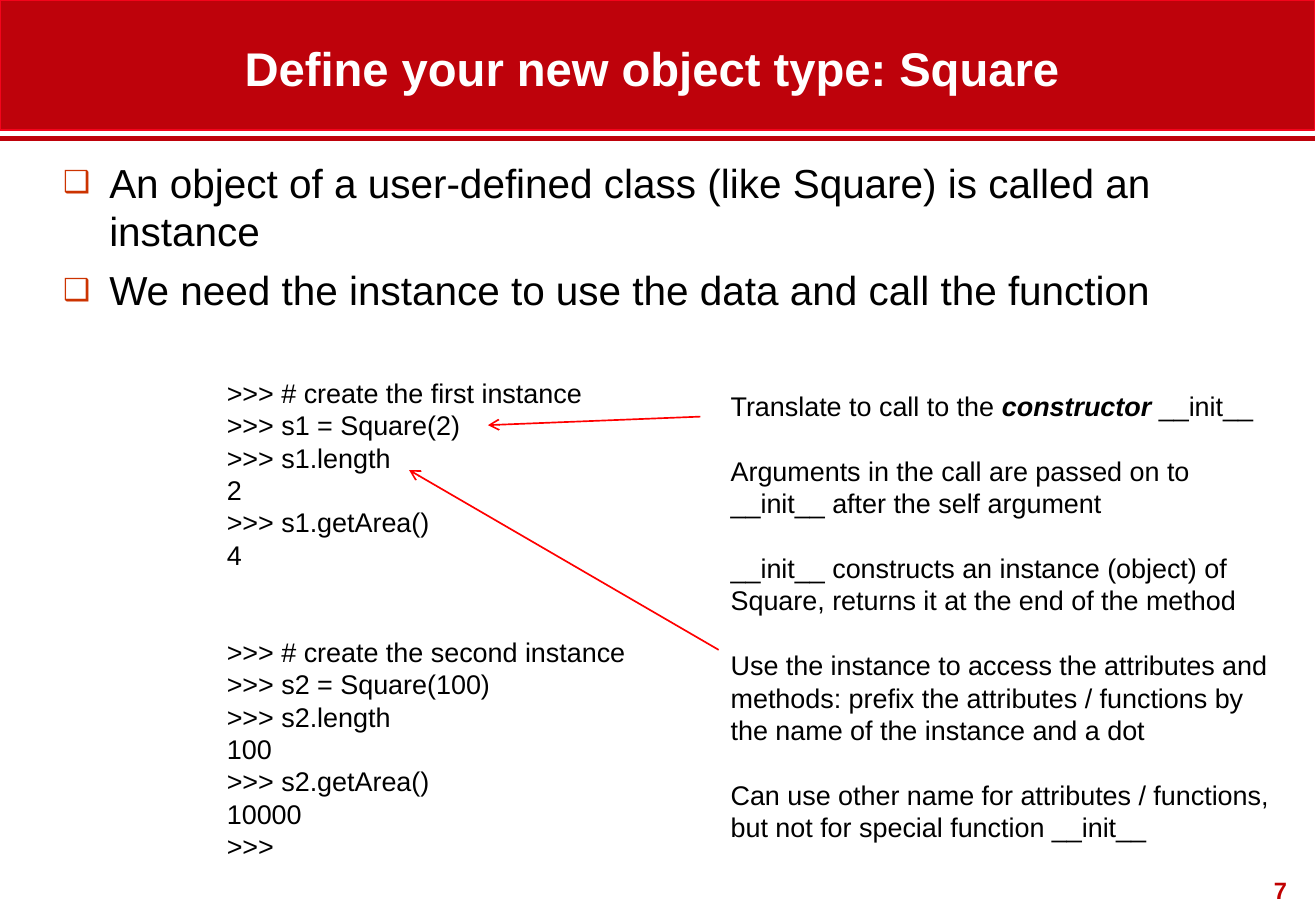
import pptx
import pptx.dml.color
import pptx.enum.shapes
import pptx.enum.text
import pptx.oxml
import pptx.oxml.ns
import pptx.util

PX = 9144
FONT = "Arial"
BLACK = pptx.dml.color.RGBColor(0x00, 0x00, 0x00)
WHITE = pptx.dml.color.RGBColor(0xFF, 0xFF, 0xFF)
BAND_RED = pptx.dml.color.RGBColor(0xBE, 0x02, 0x0B)
BAND_EDGE = pptx.dml.color.RGBColor(0xF4, 0x04, 0x1B)
NUMBER_RED = pptx.dml.color.RGBColor(0xC0, 0x00, 0x00)
ARROW_RED = pptx.dml.color.RGBColor(0xFF, 0x00, 0x00)
BULLET_ORANGE = pptx.dml.color.RGBColor(0xCC, 0x33, 0x00)
ALIGN = pptx.enum.text.PP_ALIGN
ANCHOR = pptx.enum.text.MSO_ANCHOR

TITLE = "Define your new object type: Square"
POINTS = [
    "An object of a user-defined class (like Square) is called an instance",
    "We need the instance to use the data and call the function",
]
SESSIONS = [
    [">>> # create the first instance", ">>> s1 = Square(2)", ">>> s1.length", "2",
     ">>> s1.getArea()", "4"],
    [">>> # create the second instance", ">>> s2 = Square(100)", ">>> s2.length", "100",
     ">>> s2.getArea()", "10000", ">>>"],
]
NOTES = [
    ["Translate to call to the *constructor* __init__"],
    ["Arguments in the call are passed on to __init__ after the self argument"],
    ["__init__ constructs an instance (object) of Square, returns it at the end of the method"],
    ["Use the instance to access the attributes and methods: prefix the attributes / functions "
     "by the name of the instance and a dot"],
    ["Can use other name for attributes / functions, but not for special function __init__"],
]


def px(*lengths):
    """Turn px lengths into EMU."""
    return [pptx.util.Emu(length * PX) for length in lengths]


def write_text(shape, blocks, size=16, color=BLACK, bold=False, align=ALIGN.LEFT,
               anchor=ANCHOR.TOP, space_before=0, block_gap=0):
    """Write blocks of lines into a shape, with *starred* words in bold italic."""
    frame = shape.text_frame
    frame.word_wrap = True
    frame.auto_size = pptx.enum.text.MSO_AUTO_SIZE.NONE
    frame.vertical_anchor = anchor
    for block_index, block in enumerate(blocks):
        for line_index, line in enumerate(block):
            first = block_index == line_index == 0
            paragraph = frame.paragraphs[0] if first else frame.add_paragraph()
            paragraph.alignment = align
            gap = block_gap if block_index and not line_index else 0
            paragraph.space_before = pptx.util.Pt(space_before + gap)
            for part_index, part in enumerate(line.split("*")):
                emphasis = part_index % 2 == 1
                run = paragraph.add_run()
                run.text = part
                run.font.name = FONT
                run.font.size = pptx.util.Pt(size)
                run.font.color.rgb = color
                run.font.bold = bold or emphasis
                run.font.italic = emphasis


def add_text(slide, box, blocks, **text_format):
    """Add a text box at a px box."""
    shape = slide.shapes.add_textbox(*px(*box))
    write_text(shape, blocks, **text_format)


def fill_placeholder(placeholder, box, blocks, **text_format):
    """Move a placeholder to a px box and write its text."""
    placeholder.left, placeholder.top, placeholder.width, placeholder.height = px(*box)
    write_text(placeholder, blocks, **text_format)


def add_bullets(shape, symbol, color, percent, indent):
    """Give every paragraph of a shape a coloured hanging bullet."""
    for paragraph in shape.text_frame.paragraphs:
        properties = paragraph._p.get_or_add_pPr()
        properties.set("marL", str(indent * PX))
        properties.set("indent", str(-indent * PX))
        namespace = pptx.oxml.ns.nsdecls("a")
        for xml in (
            f'<a:buClr {namespace}><a:srgbClr val="{color}"/></a:buClr>',
            f'<a:buSzPct {namespace} val="{percent * 1000}"/>',
            f'<a:buFont {namespace} typeface="{FONT}"/>',
            f'<a:buChar {namespace} char="{symbol}"/>',
        ):
            properties.append(pptx.oxml.parse_xml(xml))


def add_line(slide, start, end, color, width, arrow=False):
    """Add a straight line between two px points, with an optional arrowhead at its end."""
    straight = pptx.enum.shapes.MSO_CONNECTOR.STRAIGHT
    line = slide.shapes.add_connector(straight, *px(*start, *end))
    line.line.color.rgb = color
    line.line.width = pptx.util.Pt(width)
    namespace = pptx.oxml.ns.nsdecls("a")
    if arrow:
        head = pptx.oxml.parse_xml(f'<a:tailEnd {namespace} type="arrow"/>')
        line.line._get_or_add_ln().append(head)
    line._element.spPr.append(pptx.oxml.parse_xml(f"<a:effectLst {namespace}/>"))
    return line


def add_band(slide, box):
    """Add the red title band."""
    rectangle = pptx.enum.shapes.MSO_SHAPE.RECTANGLE
    band = slide.shapes.add_shape(rectangle, *px(*box))
    band.shadow.inherit = False
    band.fill.solid()
    band.fill.fore_color.rgb = BAND_RED
    band.line.color.rgb = BAND_EDGE
    band.line.width = pptx.util.Pt(1)
    return band


def main():
    """Build the slide and save it."""
    presentation = pptx.Presentation()
    presentation.slide_width, presentation.slide_height = px(1084, 750)
    slide = presentation.slides.add_slide(presentation.slide_layouts[1])
    title, body = slide.placeholders

    band = add_band(slide, (0, 0, 1083, 107))
    rule = add_line(slide, (0, 114), (1083, 114), BAND_RED, 3)
    for backdrop in (band, rule):
        title.element.addprevious(backdrop.element)

    fill_placeholder(title, (29, 18, 1016, 66), [[TITLE]], size=28, color=WHITE, bold=True,
                     align=ALIGN.CENTER, anchor=ANCHOR.BOTTOM)
    fill_placeholder(body, (42, 125, 1000, 580), [POINTS], size=24, space_before=6)
    add_bullets(body, "❑", BULLET_ORANGE, percent=75, indent=38)

    add_text(slide, (177, 305, 542, 410), SESSIONS, block_gap=38.4)
    add_text(slide, (592, 316, 465, 383), NOTES, block_gap=19.2)
    add_text(slide, (1022, 716, 48, 33), [["7"]], size=14, color=NUMBER_RED, bold=True,
             align=ALIGN.RIGHT)

    add_line(slide, (577, 343), (402, 350), ARROW_RED, 1, arrow=True)
    add_line(slide, (592, 535), (337, 387), ARROW_RED, 1, arrow=True)
    presentation.save("out.pptx")


if __name__ == "__main__":
    main()
